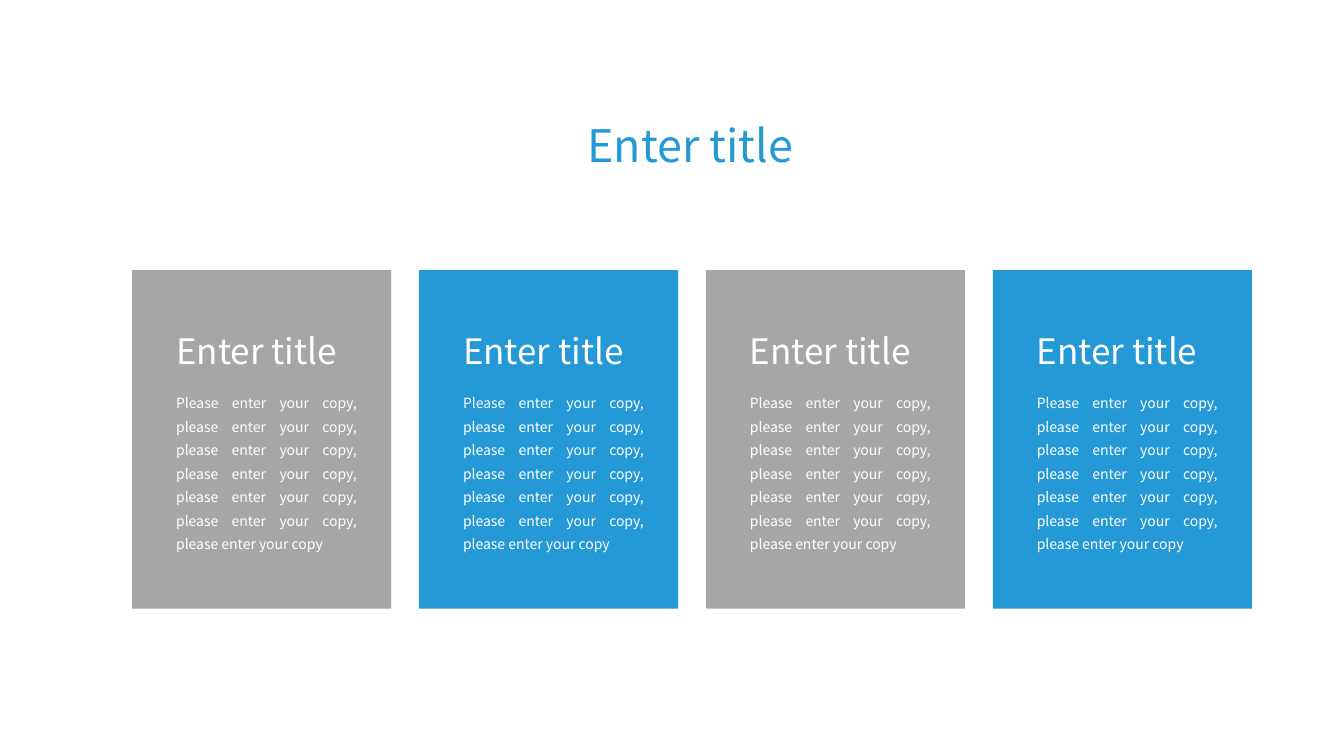
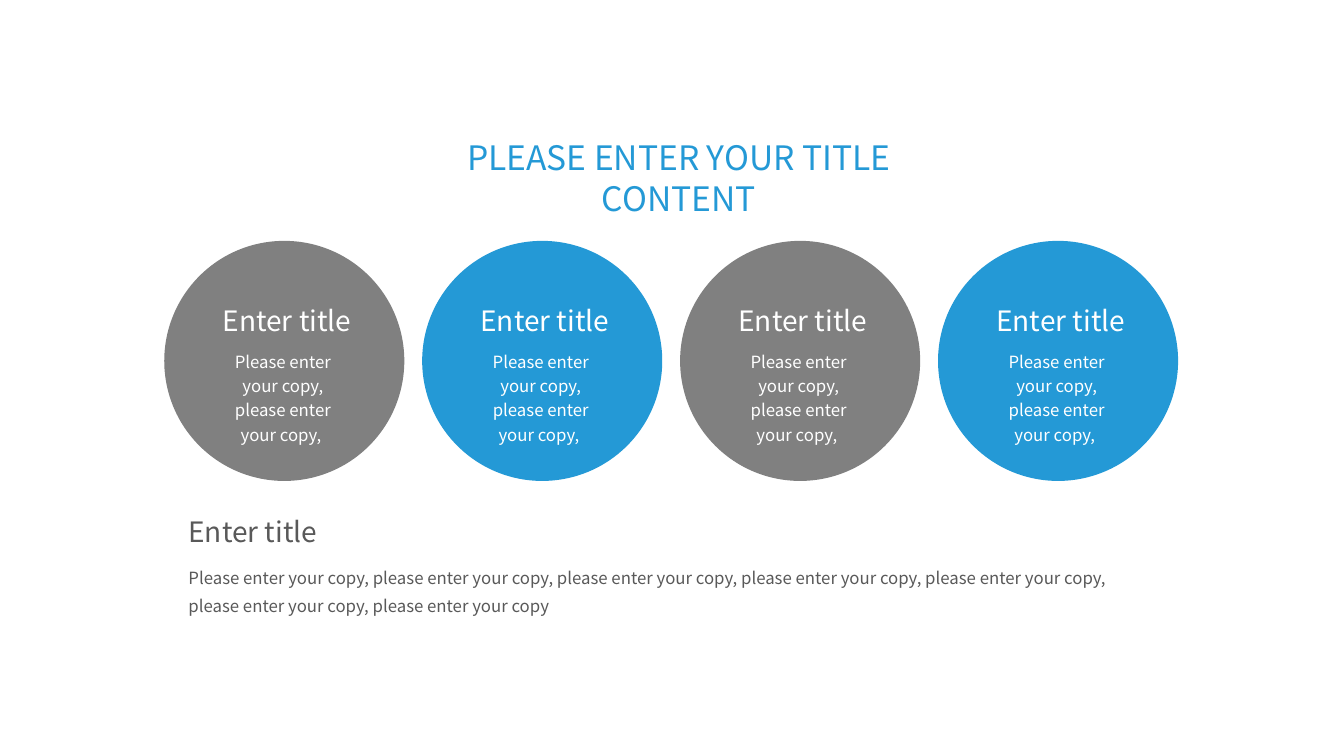
from pptx import Presentation
from pptx import util as u
from pptx.dml.color import RGBColor
from pptx.enum import shapes, text

FONT = "Noto Sans CJK SC"
BLUE, SILVER, GRAY, DARK, WHITE = "2499D6", "A6A6A6", "808080", "595959", "FFFFFF"
HEADING = "Enter title"
COPY = "Please enter your copy" + ", please enter your copy" * 6
SHORT_COPY = "Please enter your copy, please enter your copy, "
ALIGN = text.PP_ALIGN


def color(fmt, value):
    fmt.rgb = RGBColor.from_string(value)


def box(*lengths):
    return [u.Cm(n) for n in lengths]


def write(sp, content, size, fill, align=ALIGN.LEFT, spacing=1.0):
    """Fill a text box or placeholder with one styled paragraph."""
    tf = sp.text_frame
    tf.word_wrap = True
    tf.auto_size = text.MSO_AUTO_SIZE.NONE
    tf.vertical_anchor = text.MSO_ANCHOR.TOP
    p = tf.paragraphs[0]
    p.text = content
    p.alignment, p.line_spacing = align, spacing
    p.font.name, p.font.size = FONT, u.Pt(size)
    color(p.font.color, fill)


def add_text(s, at, *style, **options):
    write(s.shapes.add_textbox(*box(*at)), *style, **options)


def add_panel(s, kind, at, fill):
    sp = s.shapes.add_shape(kind, *box(*at))
    sp.shadow.inherit = False
    sp.fill.solid()
    color(sp.fill.fore_color, fill)
    sp.line.fill.background()


def new_slide(prs, title, at, size):
    """Add a slide with the shared blue, centred title."""
    s = prs.slides.add_slide(prs.slide_layouts[5])
    sp = s.shapes.title
    sp.left, sp.top, sp.width, sp.height = box(*at)
    write(sp, title, size, BLUE, ALIGN.CENTER)
    return s


def add_card(s, x, y, fill):
    add_panel(s, shapes.MSO_SHAPE.RECTANGLE, (x, y, 6.53, 8.53), fill)
    add_text(s, (x + 0.86, y + 1.37, 5.2, 1.32), HEADING, 25, WHITE)
    add_text(s, (x + 0.86, y + 2.84, 5.05, 4.45), COPY, 10, WHITE,
             align=ALIGN.JUSTIFY, spacing=1.4)


def add_circle(s, x, y, fill):
    add_panel(s, shapes.MSO_SHAPE.OVAL, (x, y, 6.05, 6.05), fill)
    add_text(s, (x + 1.22, y + 1.45, 4.24, 1.12), HEADING, 20, WHITE)
    add_text(s, (x + 1.1, y + 2.57, 3.78, 2.72), SHORT_COPY, 12, WHITE,
             align=ALIGN.CENTER, spacing=1.2)


def add_row(s, add_item, x, y, pitch, fills):
    """Place one item per fill at an equal pitch."""
    for i, fill in enumerate(fills):
        add_item(s, x + i * pitch, y, fill)


def add_summary(s, x, y, w):
    add_text(s, (x, y, w, 1.12), HEADING, 20, DARK)
    add_text(s, (x, y + 1.12, w, 1.68), COPY, 12, DARK, spacing=1.4)


def main():
    prs = Presentation()
    prs.slide_width, prs.slide_height = box(33.87, 19.05)

    # Four cards
    s = new_slide(prs, HEADING, (13.44, 2.84, 7.92, 1.63), 32)
    add_row(s, add_card, 3.33, 6.81, 7.23, (SILVER, BLUE) * 2)

    # Four circles above a summary
    s = new_slide(prs, "PLEASE ENTER YOUR TITLE CONTENT",
                  (10.16, 3.33, 13.89, 2.31), 24)
    add_row(s, add_circle, 4.14, 6.07, 6.5, (GRAY, BLUE) * 2)
    add_summary(s, 4.5, 12.85, 24.74)

    prs.save("out.pptx")


if __name__ == "__main__":
    main()
